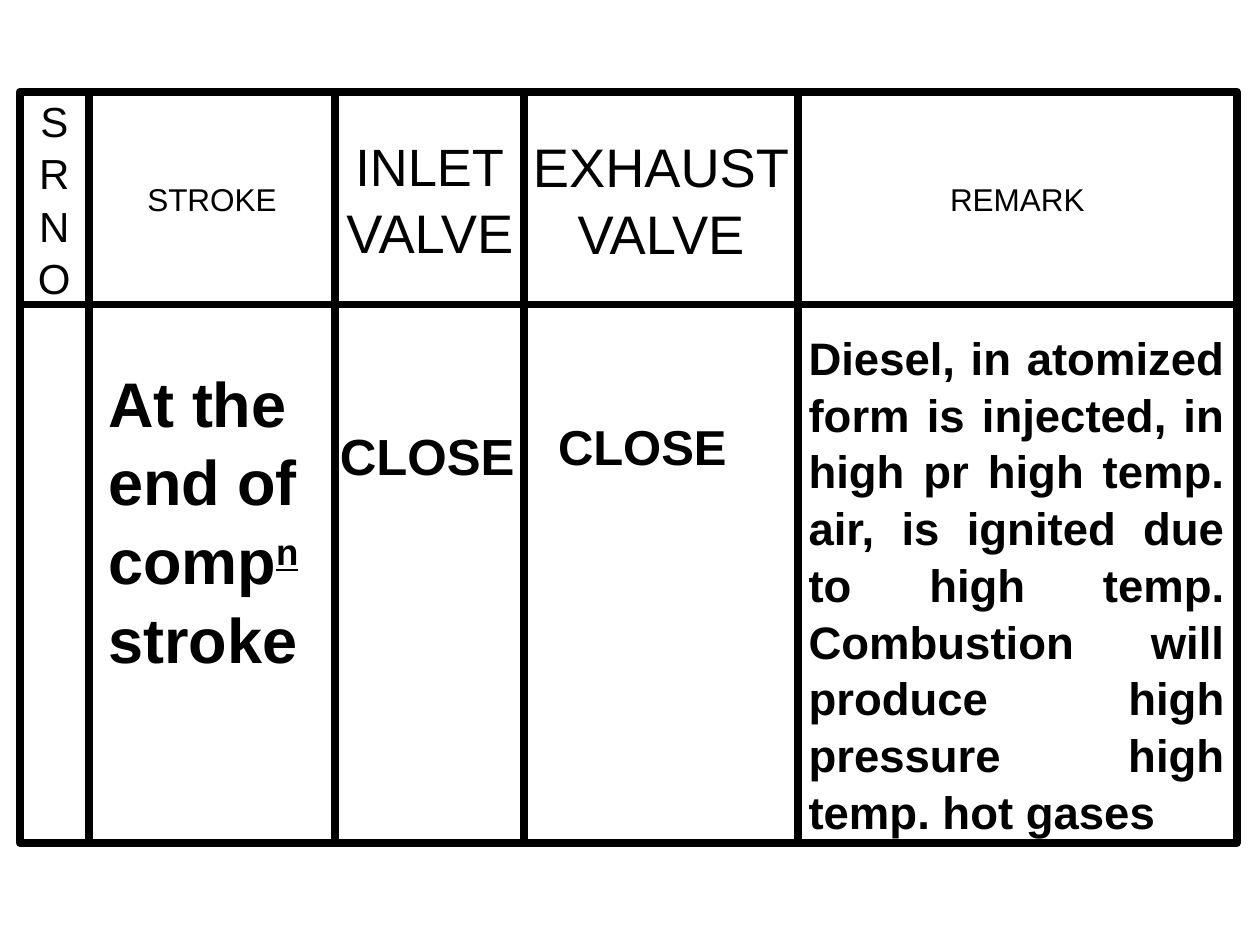
"""Build the valve position table slide for the end of the compression stroke."""
from dataclasses import dataclass
from itertools import pairwise

from pptx import Presentation
from pptx.dml.color import RGBColor
from pptx.enum.shapes import MSO_SHAPE as Preset
from pptx.enum.text import MSO_ANCHOR as Anchor, MSO_AUTO_SIZE as AutoSize, PP_ALIGN as Align
from pptx.util import Cm, Pt


@dataclass(frozen=True)
class Theme:
    font: str = "Arial"
    ink: RGBColor = RGBColor(0, 0, 0)
    border: float = 4.5
    line_spacing: float = 1.04
    serial: int = 24
    label: int = 18
    inlet: int = 30
    valve: int = 31
    stroke: int = 36
    inlet_state: int = 29
    exhaust_state: int = 28
    remark: int = 26


THEME = Theme()
COLUMN_EDGES = (0.4, 1.79, 6.76, 10.57, 16.08, 24.94)
HEADER_TOP, BODY_TOP, BODY_BOTTOM = 1.85, 6.14, 16.99
HEADINGS = (
    ("S\nR\nN\nO", (THEME.serial,) * 4),
    ("STROKE", (THEME.label,)),
    ("INLET\nVALVE", (THEME.inlet, THEME.valve)),
    ("EXHAUST\nVALVE", (THEME.valve,) * 2),
    ("REMARK", (THEME.label,)),
)
REMARK = (
    "Diesel, in atomized form is injected, in high pr high temp. air, is ignited "
    "due to high temp. Combustion will produce high pressure high temp. hot gases"
)


def style_run(run, size, bold=False):
    run.font.name = THEME.font
    run.font.size = Pt(size)
    run.font.bold = bold
    run.font.color.rgb = THEME.ink


def style_line(line, size, align, bold=False):
    line.alignment = align
    line.line_spacing = THEME.line_spacing
    for run in line.runs:
        style_run(run, size, bold)


def add_cell(grid, left, right, top, bottom):
    cell = grid.shapes.add_shape(
        Preset.RECTANGLE, Cm(left), Cm(top), Cm(right - left), Cm(bottom - top)
    )
    cell.shadow.inherit = False
    cell.fill.background()
    cell.line.color.rgb = THEME.ink
    cell.line.width = Pt(THEME.border)
    return cell


def add_heading(grid, left, right, wording, sizes):
    heading = add_cell(grid, left, right, HEADER_TOP, BODY_TOP).text_frame
    heading.text = wording
    heading.word_wrap = False
    heading.vertical_anchor = Anchor.MIDDLE
    for line, size in zip(heading.paragraphs, sizes):
        style_line(line, size, Align.CENTER)


def add_entry(slide, place, wording, size, align=Align.LEFT, wrap=False):
    entry = slide.shapes.add_textbox(*map(Cm, place)).text_frame
    entry.text = wording
    entry.word_wrap = wrap
    entry.auto_size = AutoSize.SHAPE_TO_FIT_TEXT
    for line in entry.paragraphs:
        style_line(line, size, align, bold=True)
    return entry


def add_superscript(line, wording, size):
    run = line.add_run()
    run.text = wording
    style_run(run, size, bold=True)
    run.font.underline = True
    run._r.get_or_add_rPr().set("baseline", "30000")


def main():
    deck = Presentation()
    deck.slide_width, deck.slide_height = Cm(25.4), Cm(19.05)
    slide = deck.slides.add_slide(deck.slide_layouts[6])

    grid = slide.shapes.add_group_shape()
    columns = list(pairwise(COLUMN_EDGES))
    for (left, right), (wording, sizes) in zip(columns, HEADINGS):
        add_heading(grid, left, right, wording, sizes)
    for left, right in reversed(columns):
        add_cell(grid, left, right, BODY_TOP, BODY_BOTTOM)

    add_entry(slide, (11, 8.23, 3.94, 1.45), "CLOSE", THEME.exhaust_state)
    add_entry(slide, (16.05, 6.48, 8.89, 10.19), REMARK, THEME.remark, Align.JUSTIFY, wrap=True)
    add_entry(slide, (6.6, 8.38, 4.04, 1.47), "CLOSE", THEME.inlet_state)
    stroke = add_entry(
        slide, (1.93, 7.16, 4.72, 6.4), "At the\nend of\ncomp\nstroke", THEME.stroke
    )
    add_superscript(stroke.paragraphs[2], "n", THEME.stroke)

    deck.save("out.pptx")


if __name__ == "__main__":
    main()
